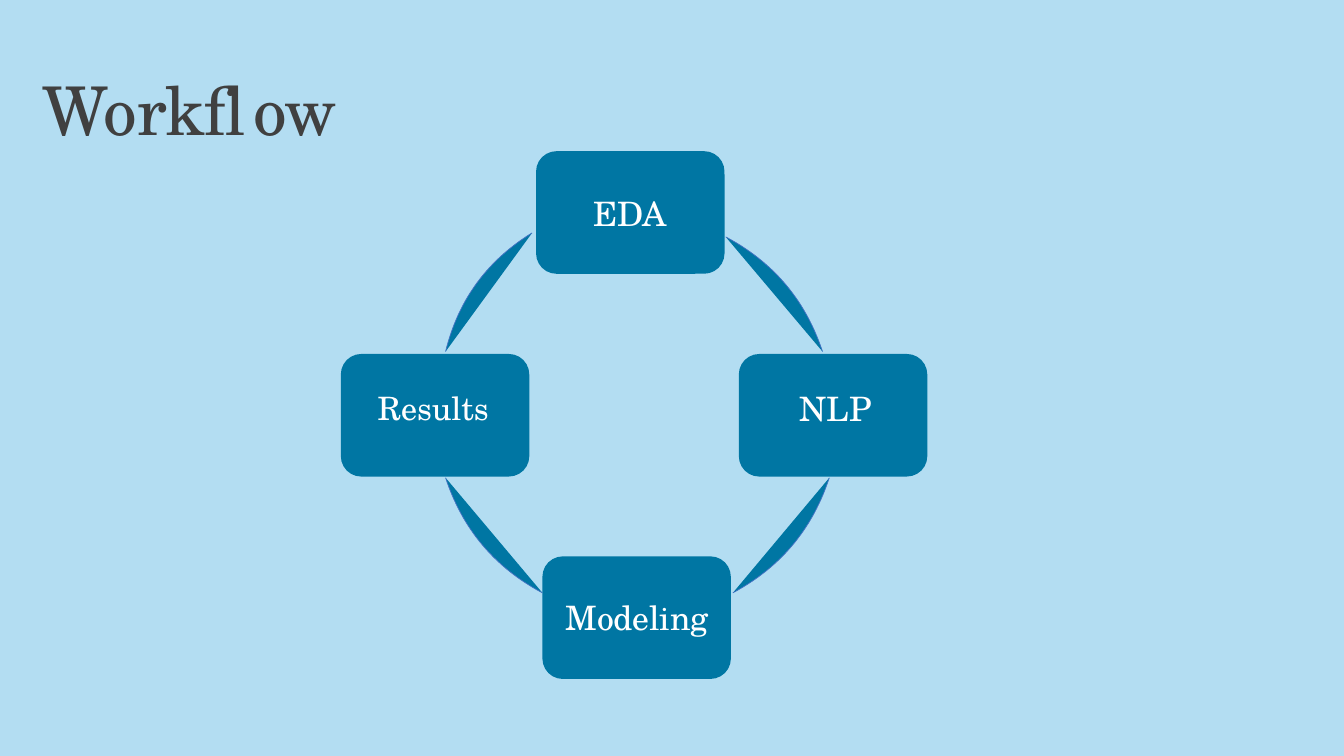
"""Build the Workflow slide: four rounded steps joined in a ring by curved links."""
import math
from dataclasses import dataclass

import pptx
import pptx.dml.color
import pptx.enum.shapes
import pptx.enum.text
import pptx.shapes.autoshape
import pptx.slide
import pptx.util

Cm = pptx.util.Cm
COLORS = {
    "background": "B3DDF2",
    "step": "0076A3",
    "link": "4472C4",
    "title": "404040",
    "label": "FFFFFF",
}
FONT = "TeX Gyre Schola"
STEP_WIDTH, STEP_HEIGHT = 4.75, 3.09
LINK_BULGE = 0.38
LINK_SEGMENTS = 28


@dataclass(frozen=True)
class Step:
    label: str
    left: float
    top: float
    label_left: float
    label_top: float
    label_width: float
    label_height: float = 1.07
    size: float = 24
    spacing: float = 0


@dataclass(frozen=True)
class Link:
    start: tuple[float, float]
    end: tuple[float, float]


STEPS = [
    Step("EDA", 13.51, 3.81, 13.82, 4.83, 4.11),
    Step("NLP", 18.62, 8.92, 18.62, 9.75, 4.88),
    Step("Modeling", 13.67, 14.02, 13.97, 15.01, 4.17, spacing=-0.1),
    Step("Results", 8.59, 8.92, 8.0, 9.75, 5.84, 1.02, size=23, spacing=-0.1),
]
LINKS = [
    Link((18.29, 5.97), (20.73, 8.86)),
    Link((20.9, 12.04), (18.47, 14.94)),
    Link((13.67, 14.94), (11.23, 12.04)),
    Link((11.23, 8.86), (13.41, 5.87)),
]


def rgb(name: str) -> pptx.dml.color.RGBColor:
    return pptx.dml.color.RGBColor.from_string(COLORS[name])


def fill_shape(shape: pptx.shapes.autoshape.Shape) -> None:
    shape.shadow.inherit = False
    shape.fill.solid()
    shape.fill.fore_color.rgb = rgb("step")


def add_text(slide: pptx.slide.Slide, text: str, *, left: float, top: float,
             width: float, height: float, size: float, color: str,
             spacing: float = 0, centered: bool = True) -> None:
    box = slide.shapes.add_textbox(Cm(left), Cm(top), Cm(width), Cm(height))
    frame = box.text_frame
    frame.word_wrap = True
    frame.auto_size = pptx.enum.text.MSO_AUTO_SIZE.SHAPE_TO_FIT_TEXT
    frame.margin_left = frame.margin_right = frame.margin_bottom = 0
    frame.margin_top = Cm(0.03)
    paragraph = frame.paragraphs[0]
    alignment = pptx.enum.text.PP_ALIGN
    paragraph.alignment = alignment.CENTER if centered else alignment.LEFT
    paragraph.space_before = pptx.util.Pt(1)
    run = paragraph.add_run()
    run.text = text
    run.font.name = FONT
    run.font.size = pptx.util.Pt(size)
    run.font.color.rgb = rgb(color)
    run.font._element.set("spc", str(round(spacing * 100)))


def add_step(slide: pptx.slide.Slide, step: Step) -> None:
    shape = slide.shapes.add_shape(
        pptx.enum.shapes.MSO_SHAPE.ROUNDED_RECTANGLE,
        Cm(step.left), Cm(step.top), Cm(STEP_WIDTH), Cm(STEP_HEIGHT))
    fill_shape(shape)
    shape.line.fill.background()
    add_text(slide, step.label, left=step.label_left, top=step.label_top,
             width=step.label_width, height=step.label_height, size=step.size,
             color="label", spacing=step.spacing)


def link_point(link: Link, t: float) -> tuple[int, int]:
    (x1, y1), (x2, y2) = link.start, link.end
    dx, dy = x2 - x1, y2 - y1
    offset = 4 * LINK_BULGE * t * (1 - t) / math.hypot(dx, dy)
    return Cm(x1 + dx * t + dy * offset), Cm(y1 + dy * t - dx * offset)


def add_link(slide: pptx.slide.Slide, link: Link) -> None:
    points = [link_point(link, i / LINK_SEGMENTS) for i in range(LINK_SEGMENTS + 1)]
    builder = slide.shapes.build_freeform(*points[0])
    builder.add_line_segments(points[1:], close=False)
    shape = builder.convert_to_shape()
    fill_shape(shape)
    shape.line.color.rgb = rgb("link")
    shape.line.width = pptx.util.Pt(0.5)


def main() -> None:
    presentation = pptx.Presentation()
    presentation.slide_width, presentation.slide_height = Cm(33.87), Cm(19.05)
    slide = presentation.slides.add_slide(presentation.slide_layouts[6])
    slide.background.fill.solid()
    slide.background.fill.fore_color.rgb = rgb("background")
    add_text(slide, "Workflow", left=1.07, top=1.68, width=8, height=2.08,
             size=48, color="title", spacing=-0.1, centered=False)
    for step in STEPS:
        add_step(slide, step)
    for link in LINKS:
        add_link(slide, link)
    presentation.save("out.pptx")


if __name__ == "__main__":
    main()
